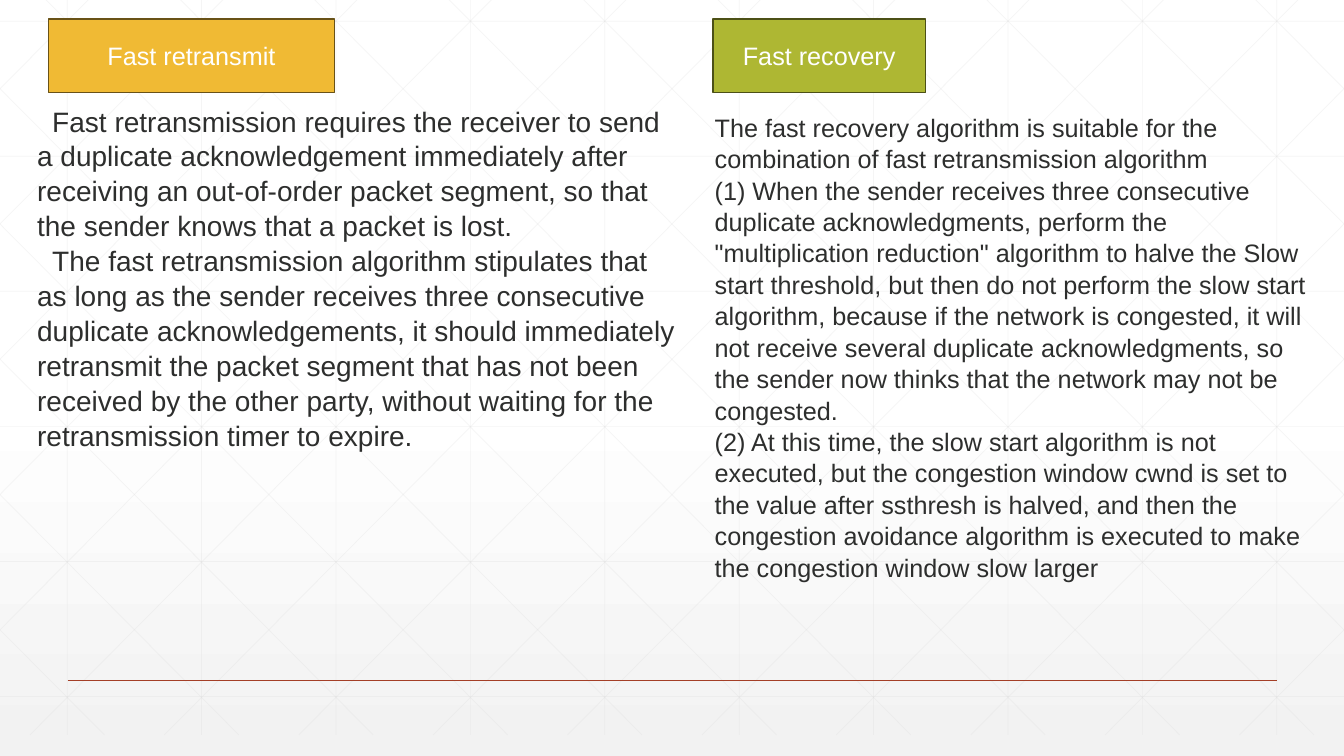
from copy import deepcopy
from lxml.etree import SubElement
from pptx import Presentation
from pptx.dml.color import RGBColor
from pptx.enum.shapes import MSO_CONNECTOR as Connector, MSO_SHAPE as Shape
from pptx.enum.text import MSO_ANCHOR as Anchor, PP_ALIGN as Align
from pptx.oxml.ns import qn
from pptx.util import Inches, Pt

WHITE = RGBColor(0xFF, 0xFF, 0xFF)
PALE = RGBColor(0xF2, 0xF2, 0xF2)
GRID = RGBColor(0xD9, 0xD9, 0xD9)
RUST = RGBColor(0xA4, 0x3F, 0x27)
INK = RGBColor(0x2D, 0x2E, 0x2D)
AMBER = RGBColor(0xF0, 0xBA, 0x34)
AMBER_EDGE = RGBColor(0x69, 0x52, 0x17)
OLIVE = RGBColor(0xAE, 0xB7, 0x33)
OLIVE_EDGE = RGBColor(0x4C, 0x50, 0x16)
FONT = "Arial"

HEADINGS = [
    ("Fast retransmit", 0.48, 2.84, AMBER, AMBER_EDGE),
    ("Fast recovery", 7.07, 2.11, OLIVE, OLIVE_EDGE),
]
COLUMNS = [
    ((0.27, 0.97, 6.54, 3.47), 20, 0.15, [
        "Fast retransmission requires the receiver to send a duplicate acknowledgement immediately after receiving an out-of-order packet segment, so that the sender knows that a packet is lost.",
        "The fast retransmission algorithm stipulates that as long as the sender receives three consecutive duplicate acknowledgements, it should immediately retransmit the packet segment that has not been received by the other party, without waiting for the retransmission timer to expire.",
    ]),
    ((6.99, 1.05, 6.18, 4.64), 18, 0, [
        "The fast recovery algorithm is suitable for the combination of fast retransmission algorithm",
        "(1) When the sender receives three consecutive duplicate acknowledgments, perform the \"multiplication reduction\" algorithm to halve the Slow start threshold, but then do not perform the slow start algorithm, because if the network is congested, it will not receive several duplicate acknowledgments, so the sender now thinks that the network may not be congested.",
        "(2) At this time, the slow start algorithm is not executed, but the congestion window cwnd is set to the value after ssthresh is halved, and then the congestion avoidance algorithm is executed to make the congestion window slow larger",
    ]),
]

WIDTH, HEIGHT = 13.33, 7.5
TOP, BOTTOM = -0.21, 7.29
STEP_X, STEP_Y = WIDTH / 10, 1.34
DIAGONAL_START, DIAGONAL_RUN = 0.25, 7.45
SLOPE = (BOTTOM - TOP) / DIAGONAL_RUN


def add_line(shapes, start, end, color, width, opacity=100):
    line = shapes.add_connector(Connector.STRAIGHT, *map(Inches, (*start, *end)))
    line.line.color.rgb = color
    line.line.width = Pt(width)
    properties = line._element.spPr
    if opacity < 100:
        tint = properties.find(".//" + qn("a:srgbClr"))
        SubElement(tint, qn("a:alpha")).set("val", str(opacity * 1000))
    SubElement(properties, qn("a:effectLst"))


def grid_lines():
    for column in range(10):
        x = STEP_X * (column + 0.5)
        yield (x, TOP), (x, BOTTOM)
    for row in range(6):
        y = 0.21 + STEP_Y * row
        yield (0, y), (WIDTH, y)
    for index in range(-5, 10):
        origin = DIAGONAL_START + STEP_X * index
        left, right = max(0, origin), min(WIDTH, origin + DIAGONAL_RUN)
        upper, lower = (TOP + (x - origin) * SLOPE for x in (left, right))
        yield (left, upper), (right, lower)
        yield (WIDTH - left, upper), (WIDTH - right, lower)


def paint_background(slide):
    fill = slide.background.fill
    fill.gradient()
    fill.gradient_angle = 270
    first, last = fill.gradient_stops
    first.color.rgb, first.position = WHITE, 0
    last.color.rgb, last.position = PALE, 1
    stops = slide._element.find(".//" + qn("a:gsLst"))
    middle = deepcopy(stops[0])
    middle.set("pos", "53000")
    stops.insert(1, middle)


def style(para, size, color):
    para.font.name = FONT
    para.font.size = Pt(size)
    para.font.color.rgb = color


def add_heading(slide, text, left, width, fill, edge):
    box = slide.shapes.add_shape(Shape.RECTANGLE, *map(Inches, (left, 0.19, width, 0.73)))
    box.shadow.inherit = False
    box.fill.solid()
    box.fill.fore_color.rgb = fill
    box.line.color.rgb = edge
    box.line.width = Pt(1)
    frame = box.text_frame
    frame.text = text
    frame.vertical_anchor = Anchor.MIDDLE
    frame.paragraphs[0].alignment = Align.CENTER
    style(frame.paragraphs[0], 18, WHITE)


def add_column(slide, place, size, indent, texts):
    frame = slide.shapes.add_textbox(*map(Inches, place)).text_frame
    frame.word_wrap = True
    frame.text = "\n".join(texts)
    for para in frame.paragraphs:
        para.line_spacing = 1.04
        para._p.get_or_add_pPr().set("indent", str(Inches(indent)))
        style(para, size, INK)


def main():
    deck = Presentation()
    deck.slide_width, deck.slide_height = Inches(WIDTH), Inches(HEIGHT)
    slide = deck.slides.add_slide(deck.slide_layouts[6])
    paint_background(slide)
    grid = slide.shapes.add_group_shape()
    for start, end in grid_lines():
        add_line(grid.shapes, start, end, GRID, 0.5, 25)
    add_line(slide.shapes, (0.67, 6.75), (12.67, 6.75), RUST, 1)
    for column in COLUMNS:
        add_column(slide, *column)
    for heading in HEADINGS:
        add_heading(slide, *heading)
    deck.save("out.pptx")


if __name__ == "__main__":
    main()
